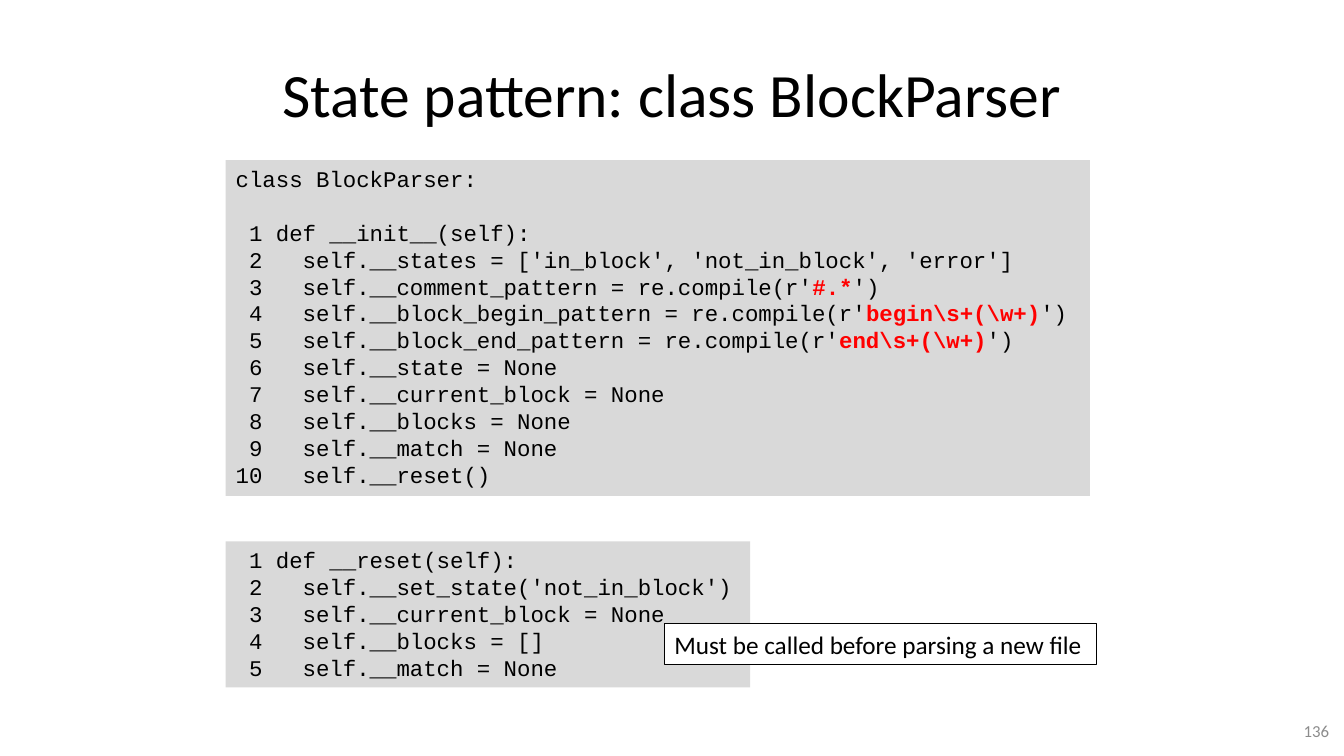
import pptx
import pptx.dml.color
import pptx.enum.text
import pptx.util

WIDTH, HEIGHT = 13.33, 7.5
CODE_LEFT = 0.168 * WIDTH
CODE_PITCH = 19.2
COLORS = {"text": "000000", "code": "D9D9D9", "note": "FFFFFF",
          "regex": "FF0000", "number": "8C8C8C"}
ALIGN = pptx.enum.text.PP_ALIGN
MIDDLE = pptx.enum.text.MSO_ANCHOR.MIDDLE

# Each line lists alternating plain and highlighted pieces.
INIT_CODE = [
    ["class BlockParser:"],
    [" 1 def __init__(self):"],
    [" 2   self.__states = ['in_block', 'not_in_block', 'error']"],
    [" 3   self.__comment_pattern = re.compile(r'", "#.*", "')"],
    [" 4   self.__block_begin_pattern = re.compile(r'", r"begin\s+(\w+)", "')"],
    [" 5   self.__block_end_pattern = re.compile(r'", r"end\s+(\w+)", "')"],
    [" 6   self.__state = None"],
    [" 7   self.__current_block = None"],
    [" 8   self.__blocks = None"],
    [" 9   self.__match = None"],
    ["10   self.__reset()"],
]
RESET_CODE = [
    [" 1 def __reset(self):"],
    [" 2   self.__set_state('not_in_block')"],
    [" 3   self.__current_block = None"],
    [" 4   self.__blocks = []"],
    [" 5   self.__match = None"],
]


def rgb(name):
    return pptx.dml.color.RGBColor.from_string(COLORS[name])


def place(sp, left, top, width, height):
    sp.left, sp.top, sp.width, sp.height = (
        pptx.util.Inches(v) for v in (left, top, width, height))


def add_run(p, text, size, font="Calibri", color="text", bold=False):
    r = p.add_run()
    r.text = text
    r.font.size = pptx.util.Pt(size)
    r.font.name = font
    r.font.bold = bold
    r.font.color.rgb = rgb(color)


def add_box(s, box, fill=None):
    sp = s.shapes.add_textbox(0, 0, 0, 0)
    place(sp, *box)
    if fill:
        sp.fill.solid()
        sp.fill.fore_color.rgb = rgb(fill)
    return sp


def add_code(s, lines, box, gap_before=None):
    """Write a listing; gap_before is the index of a line set off from the one above."""
    tf = add_box(s, box, "code").text_frame
    tf.word_wrap = False
    for i, pieces in enumerate(lines):
        p = tf.paragraphs[0] if i == 0 else tf.add_paragraph()
        p.line_spacing = pptx.util.Pt(CODE_PITCH)
        if i == gap_before:
            p.space_before = pptx.util.Pt(CODE_PITCH)
        for j, text in enumerate(pieces):
            marked = j % 2 == 1
            add_run(p, text, 16, "Courier New", "regex" if marked else "text", marked)


def add_title(s, text):
    sp = s.shapes.title
    place(sp, 0.05 * WIDTH, 0.04 * HEIGHT, 0.9 * WIDTH, HEIGHT / 6)
    sp.text_frame.vertical_anchor = MIDDLE
    p = sp.text_frame.paragraphs[0]
    p.alignment = ALIGN.CENTER
    add_run(p, text, 44)


def add_note(s, text, box):
    sp = add_box(s, box, "note")
    sp.line.color.rgb = rgb("text")
    sp.line.width = pptx.util.Pt(0.75)
    sp.text_frame.word_wrap = False
    add_run(sp.text_frame.paragraphs[0], text, 18)


def add_slide_number(s, text):
    tf = add_box(s, (10.17, 0.94 * HEIGHT, 3.11, 0.4)).text_frame
    tf.word_wrap = True
    tf.vertical_anchor = MIDDLE
    p = tf.paragraphs[0]
    p.alignment = ALIGN.RIGHT
    add_run(p, text, 12, color="number")


def main():
    prs = pptx.Presentation()
    prs.slide_width = pptx.util.Inches(WIDTH)
    prs.slide_height = pptx.util.Inches(HEIGHT)
    s = prs.slides.add_slide(prs.slide_layouts.get_by_name("Title Only"))
    add_title(s, "State pattern: class BlockParser")
    add_code(s, INIT_CODE, (CODE_LEFT, 1.59, 8.57, 3.33), gap_before=1)
    add_code(s, RESET_CODE, (CODE_LEFT, 5.37, 5.2, 1.45))
    add_note(s, "Must be called before parsing a new file", (6.59, 6.19, 4.29, 0.4))
    add_slide_number(s, "136")
    prs.save("out.pptx")


if __name__ == "__main__":
    main()
